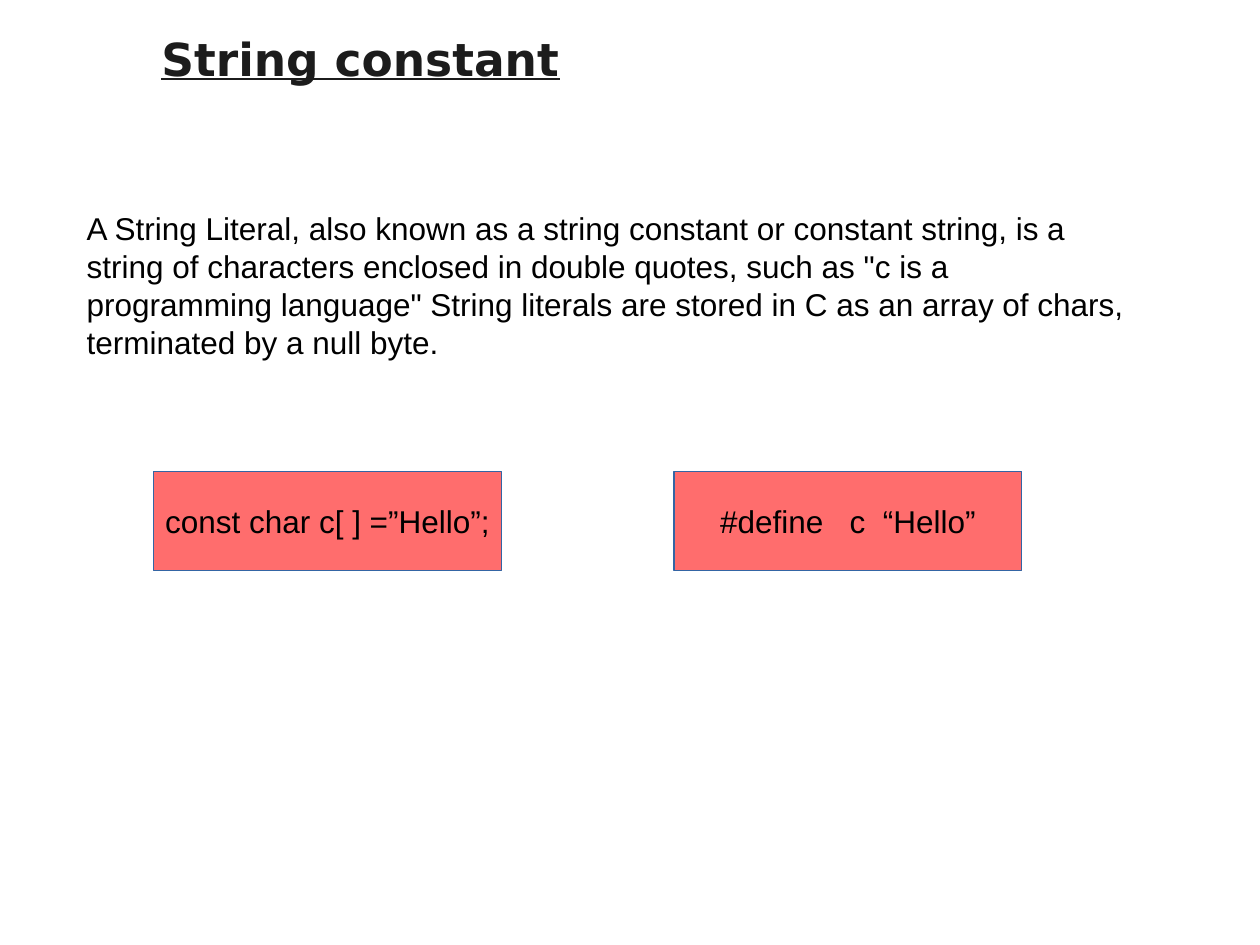
from pptx import Presentation
from pptx.dml.color import RGBColor
from pptx.enum.shapes import MSO_SHAPE as Shape
from pptx.enum.text import MSO_ANCHOR as Anchor, PP_ALIGN as Align
from pptx.util import Pt

BLACK = RGBColor(0x00, 0x00, 0x00)
CHARCOAL = RGBColor(0x1C, 0x1C, 0x1C)
CORAL = RGBColor(0xFF, 0x6D, 0x6D)
BLUE = RGBColor(0x34, 0x65, 0xA4)


def write(box, text, font="Arial", size=18, color=BLACK, bold=False,
          underline=False, align=Align.LEFT, anchor=Anchor.TOP, wrap=True):
    frame = box.text_frame
    frame.word_wrap = wrap
    frame.vertical_anchor = anchor
    para = frame.paragraphs[0]
    para.alignment = align
    span = para.add_run()
    span.text = text
    span.font.name = font
    span.font.size = Pt(size)
    span.font.color.rgb = color
    span.font.bold = bold
    span.font.underline = underline


deck = Presentation()
deck.slide_width, deck.slide_height = Pt(720), Pt(540)
page = deck.slides.add_slide(deck.slide_layouts[5])

# Title
title = page.shapes.title
title.left, title.top, title.width, title.height = Pt(85), Pt(14.4), Pt(297.4), Pt(49.7)
write(title, "String constant", font="DejaVu Sans", size=26, color=CHARCOAL,
      bold=True, underline=True)

# Definition
definition = page.shapes.add_textbox(Pt(42.5), Pt(116), Pt(614.2), Pt(93.6))
write(definition, 'A String Literal, also known as a string constant or constant '
      'string, is a string of characters enclosed in double quotes, such as '
      '"c is a programming language" String literals are stored in C as an '
      'array of chars, terminated by a null byte.')

# Two ways to declare a string constant
for left, code in ((87.8, "const char c[ ] =”Hello”;"),
                   (385.2, "#define   c  “Hello”")):
    box = page.shapes.add_shape(Shape.RECTANGLE, Pt(left), Pt(269.3), Pt(198.7), Pt(56.9))
    box.shadow.inherit = False
    box.fill.solid()
    box.fill.fore_color.rgb = CORAL
    box.line.color.rgb = BLUE
    box.line.width = Pt(0)
    write(box, code, align=Align.CENTER, anchor=Anchor.MIDDLE, wrap=False)

deck.save("out.pptx")
